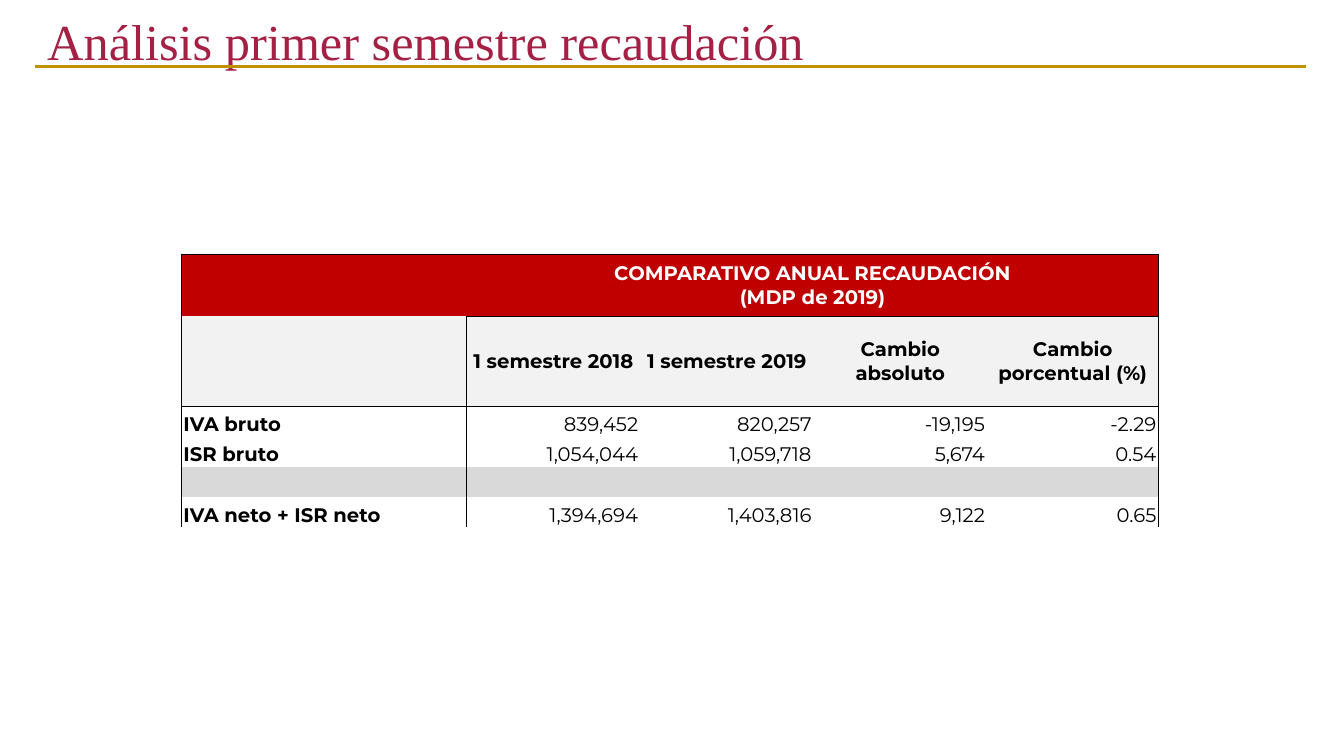
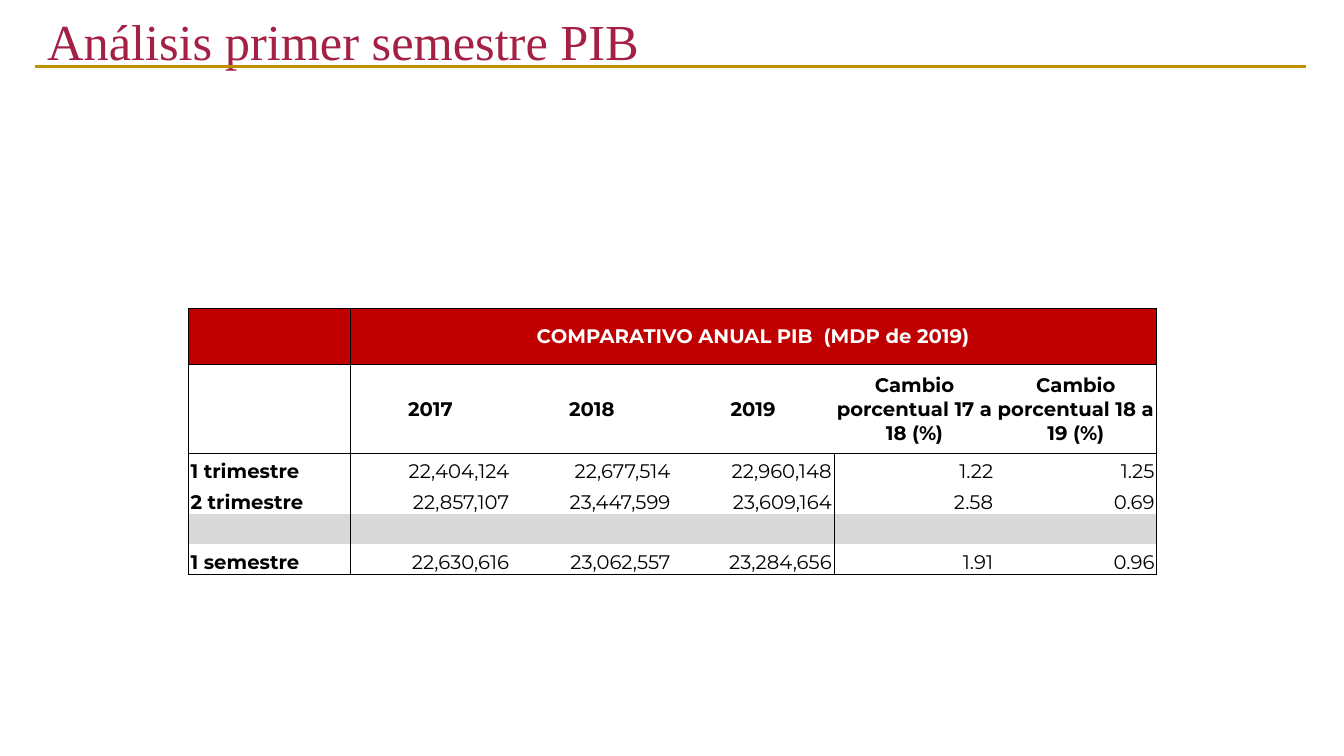
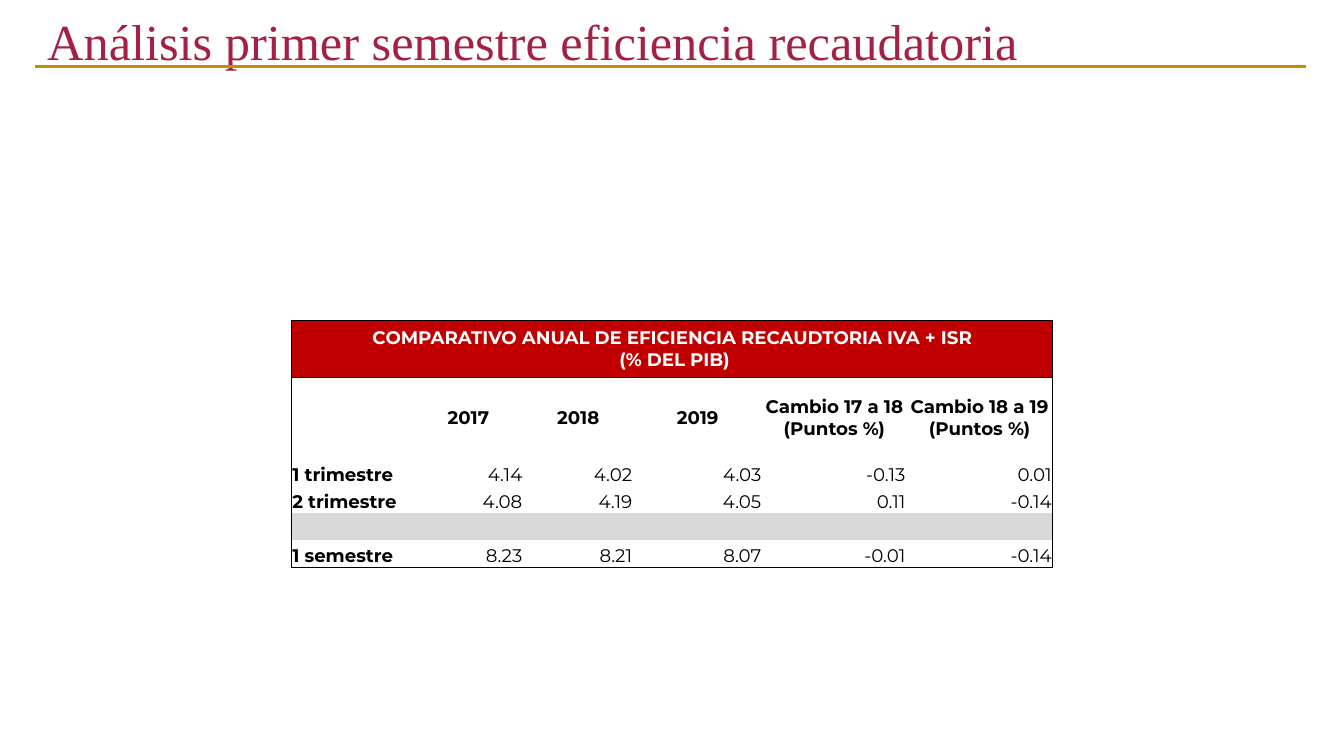
"""Build three slides comparing tax revenue, GDP and collection efficiency."""
import dataclasses
from typing import Any

import lxml.etree
import pptx
import pptx.dml.color
import pptx.enum.shapes
import pptx.enum.text
import pptx.oxml.ns
import pptx.presentation
import pptx.slide
import pptx.table
import pptx.text.text
import pptx.util

Inches = pptx.util.Inches
Pt = pptx.util.Pt
qn = pptx.oxml.ns.qn
ALIGN = pptx.enum.text.PP_ALIGN
ANCHOR = pptx.enum.text.MSO_ANCHOR

COLORS = {
    "title": "A42044",
    "rule": "BF9000",
    "banner": "C00000",
    "banner_text": "FFFFFF",
    "heading": "F2F2F2",
    "spacer": "D9D9D9",
    "ink": "000000",
}
BANNER_ROW, HEADING_ROW, SPACER_ROW = 0, 1, 4
BORDER_WIDTH = Pt(0.5)


@dataclasses.dataclass(frozen=True)
class Rule:
    """A border along one grid line, from a first cell to the far edge."""

    line: int
    start: int = 0


@dataclasses.dataclass(frozen=True)
class Comparison:
    """One slide: its title, its table and the rules between the cells."""

    title: str
    banner: str
    banner_start: int
    headings: list[str]
    records: list[list[str]]
    left: float
    top: float
    widths: list[float]
    heights: list[float]
    size: int
    inset: float
    verticals: list[Rule]
    horizontals: list[Rule]
    heading_fill: str | None = None


COMPARISONS = [
    Comparison(
        title="Análisis primer semestre recaudación",
        banner="COMPARATIVO ANUAL RECAUDACIÓN\n(MDP de 2019)",
        banner_start=1,
        headings=["", "1 semestre 2018", "1 semestre 2019", "Cambio absoluto", "Cambio porcentual (%)"],
        records=[
            ["IVA bruto", "839,452", "820,257", "-19,195", "-2.29"],
            ["ISR bruto", "1,054,044", "1,059,718", "5,674", "0.54"],
            [""] * 5,
            ["IVA neto + ISR neto", "1,394,694", "1,403,816", "9,122", "0.65"],
        ],
        left=1.8, top=2.52,
        widths=[2.83, 1.72, 1.72, 1.72, 1.7],
        heights=[0.62, 0.89] + [0.3] * 4,
        size=14, inset=0.02,
        verticals=[Rule(0), Rule(1, 1), Rule(5)],
        horizontals=[Rule(0), Rule(1, 1), Rule(2)],
        heading_fill="heading",
    ),
    Comparison(
        title="Análisis primer semestre PIB",
        banner="COMPARATIVO ANUAL PIB  (MDP de 2019)",
        banner_start=1,
        headings=["", "2017", "2018", "2019", "Cambio porcentual 17 a 18 (%)", "Cambio porcentual 18 a 19 (%)"],
        records=[
            ["1 trimestre", "22,404,124", "22,677,514", "22,960,148", "1.22", "1.25"],
            ["2 trimestre", "22,857,107", "23,447,599", "23,609,164", "2.58", "0.69"],
            [""] * 6,
            ["1 semestre", "22,630,616", "23,062,557", "23,284,656", "1.91", "0.96"],
        ],
        left=1.87, top=3.06,
        widths=[1.6] * 6,
        heights=[0.55, 0.89] + [0.3] * 4,
        size=14, inset=0.02,
        verticals=[Rule(0), Rule(1), Rule(4, 2), Rule(6)],
        horizontals=[Rule(0), Rule(1), Rule(2), Rule(6)],
    ),
    Comparison(
        title="Análisis primer semestre eficiencia recaudatoria",
        banner="COMPARATIVO ANUAL DE EFICIENCIA RECAUDTORIA IVA + ISR\n (% DEL PIB)",
        banner_start=0,
        headings=["", "2017", "2018", "2019", "Cambio 17 a 18 (Puntos %)", "Cambio 18 a 19 (Puntos %)"],
        records=[
            ["1 trimestre", "4.14", "4.02", "4.03", "-0.13", "0.01"],
            ["2 trimestre", "4.08", "4.19", "4.05", "0.11", "-0.14"],
            [""] * 6,
            ["1 semestre", "8.23", "8.21", "8.07", "-0.01", "-0.14"],
        ],
        left=2.89, top=3.18,
        widths=[1.21, 1.09, 1.09, 1.28, 1.43, 1.45],
        heights=[0.56, 0.81] + [0.27] * 4,
        size=13, inset=0.01,
        verticals=[Rule(0), Rule(6)],
        horizontals=[Rule(0), Rule(1), Rule(6)],
    ),
]


def rgb(color: str) -> pptx.dml.color.RGBColor:
    """Return the named colour."""
    return pptx.dml.color.RGBColor.from_string(COLORS[color])


def apply(target: Any, values: dict[str, Any]) -> None:
    """Set each value as an attribute of the target."""
    for attribute, value in values.items():
        setattr(target, attribute, value)


def write(paragraph: pptx.text.text._Paragraph, text: str, color: str, font: dict[str, Any]) -> None:
    """Write text in one font, with breaks and the paragraph end at its size."""
    paragraph.text = text
    for run in paragraph.runs:
        apply(run.font, font)
        run.font.color.rgb = rgb(color)
    size = str(int(font["size"].pt * 100))
    for line_break in paragraph._p.findall(qn("a:br")):
        lxml.etree.SubElement(line_break, qn("a:rPr"), sz=size)
    lxml.etree.SubElement(paragraph._p, qn("a:endParaRPr"), sz=size)


def draw_title(slide: pptx.slide.Slide, title: str) -> None:
    """Draw the slide title and the gold rule under it."""
    frame = slide.shapes.add_textbox(Inches(0.37), Inches(0), Inches(11.5), Inches(0.88)).text_frame
    apply(frame, {"word_wrap": True, "vertical_anchor": ANCHOR.MIDDLE})
    heading = frame.paragraphs[0]
    heading.line_spacing = 0.9
    write(heading, title, "title", {"name": "Times New Roman", "size": Pt(36)})
    rule = slide.shapes.add_connector(
        pptx.enum.shapes.MSO_CONNECTOR.STRAIGHT, Inches(0.35), Inches(0.66), Inches(12.95), Inches(0.66)
    )
    rule.line.color.rgb = rgb("rule")
    rule.line.width = Pt(2.25)
    lxml.etree.SubElement(rule._element.spPr, qn("a:effectLst"))


def draw_borders(cell: pptx.table._Cell, edges: dict[str, bool]) -> None:
    """Draw the given cell edges in ink and clear the others."""
    properties = cell._tc.get_or_add_tcPr()
    for position, (edge, ruled) in enumerate(edges.items()):
        border = lxml.etree.Element(qn(f"a:ln{edge}"), w=str(BORDER_WIDTH))
        if ruled:
            fill = lxml.etree.SubElement(border, qn("a:solidFill"))
            lxml.etree.SubElement(fill, qn("a:srgbClr"), val=COLORS["ink"])
        else:
            lxml.etree.SubElement(border, qn("a:noFill"))
        properties.insert(position, border)


def is_ruled(rules: list[Rule], line: int, place: int) -> bool:
    """Tell whether a rule covers this place on a grid line."""
    return any(rule.line == line and place >= rule.start for rule in rules)


def draw_cell(cell: pptx.table._Cell, comparison: Comparison, row: int, column: int, text: str) -> None:
    """Write, fill and border one cell according to its place."""
    banner, heading = row == BANNER_ROW, row == HEADING_ROW
    side, upper, lower = (0.11, 0.06, 0.06) if banner else (comparison.inset, 0.01, 0)
    apply(cell, {
        "margin_left": Inches(side),
        "margin_right": Inches(side),
        "margin_top": Inches(upper),
        "margin_bottom": Inches(lower),
        "vertical_anchor": ANCHOR.MIDDLE if banner or heading else ANCHOR.BOTTOM,
    })
    paragraph = cell.text_frame.paragraphs[0]
    if banner or heading:
        paragraph.alignment = ALIGN.CENTER
    else:
        paragraph.alignment = ALIGN.RIGHT if column else ALIGN.LEFT
    write(paragraph, text, "banner_text" if banner else "ink", {
        "name": "Montserrat",
        "size": Pt(comparison.size),
        "bold": banner or heading or column == 0,
    })
    fills = {BANNER_ROW: "banner", HEADING_ROW: comparison.heading_fill, SPACER_ROW: "spacer"}
    color = fills.get(row)
    if color:
        cell.fill.solid()
        cell.fill.fore_color.rgb = rgb(color)
    else:
        cell.fill.background()
    end = column + (cell.span_width if cell.is_merge_origin else 1)
    draw_borders(cell, {
        "L": is_ruled(comparison.verticals, column, row),
        "R": is_ruled(comparison.verticals, end, row),
        "T": is_ruled(comparison.horizontals, row, column),
        "B": is_ruled(comparison.horizontals, row + 1, column),
    })


def draw_table(slide: pptx.slide.Slide, comparison: Comparison) -> None:
    """Draw the comparison table."""
    widths, heights = comparison.widths, comparison.heights
    table = slide.shapes.add_table(
        len(heights), len(widths), Inches(comparison.left), Inches(comparison.top),
        Inches(sum(widths)), Inches(sum(heights)),
    ).table
    apply(table, {"first_row": False, "horz_banding": False})
    for column, width in zip(table.columns, widths):
        column.width = Inches(width)
    for row, height in zip(table.rows, heights):
        row.height = Inches(height)
    start = comparison.banner_start
    table.cell(BANNER_ROW, start).merge(table.cell(BANNER_ROW, len(widths) - 1))
    banner = [comparison.banner if place == start else "" for place in range(len(widths))]
    for row, texts in enumerate([banner, comparison.headings, *comparison.records]):
        for column, text in enumerate(texts):
            draw_cell(table.cell(row, column), comparison, row, column, text)


def main() -> None:
    """Build and save the presentation."""
    deck = pptx.Presentation()
    apply(deck, {"slide_width": Inches(13.33), "slide_height": Inches(7.5)})
    blank = deck.slide_layouts[6]
    for comparison in COMPARISONS:
        slide = deck.slides.add_slide(blank)
        draw_title(slide, comparison.title)
        draw_table(slide, comparison)
    deck.save("out.pptx")


if __name__ == "__main__":
    main()
